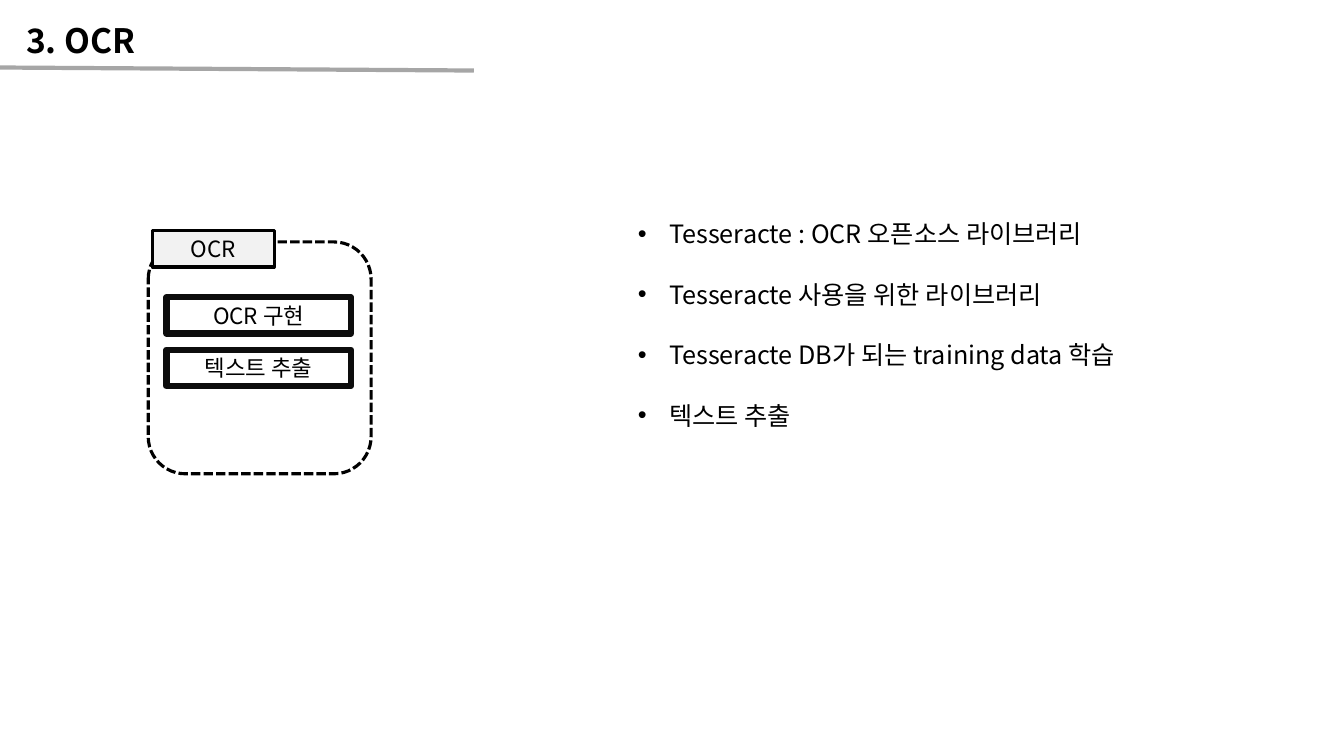
from lxml import etree
from pptx import Presentation
from pptx.dml.color import RGBColor
from pptx.enum.dml import MSO_LINE
from pptx.enum.shapes import MSO_CONNECTOR, MSO_SHAPE
from pptx.enum.text import MSO_ANCHOR, PP_ALIGN
from pptx.oxml.ns import qn
from pptx.util import Inches, Pt

SLIDE_WIDTH, SLIDE_HEIGHT = Inches(13.33), Inches(7.5)
FONT = "Noto Sans CJK KR"
COLORS = {"text": "000000", "step": "0D0D0D", "tag": "F2F2F2", "rule": "A6A6A6"}
RECTANGLE, ROUNDED = MSO_SHAPE.RECTANGLE, MSO_SHAPE.ROUNDED_RECTANGLE
STRAIGHT, DASH = MSO_CONNECTOR.STRAIGHT, MSO_LINE.SQUARE_DOT
MIDDLE, CENTER, JUSTIFY = MSO_ANCHOR.MIDDLE, PP_ALIGN.CENTER, PP_ALIGN.JUSTIFY

STEPS = ["OCR 구현", "텍스트 추출"]
STEP_TOP, STEP_PITCH = 39.33, 6.93
BULLETS = [
    "Tesseracte : OCR 오픈소스 라이브러리",
    "Tesseracte 사용을 위한 라이브러리",
    "Tesseracte DB가 되는 training data 학습",
    "텍스트 추출",
]
BULLET_INDENT = Inches(0.31)
BULLET_LINE = Pt(21.6)


def color(name):
    return RGBColor.from_string(COLORS[name])


def place(left, top, width, height):
    """Turn percentages of the slide into lengths."""
    return (
        int(SLIDE_WIDTH * left / 100),
        int(SLIDE_HEIGHT * top / 100),
        int(SLIDE_WIDTH * width / 100),
        int(SLIDE_HEIGHT * height / 100),
    )


def add_run(paragraph, text, size, bold=False):
    run = paragraph.add_run()
    run.text = text
    run.font.size = Pt(size)
    run.font.bold = bold
    run.font.name = FONT
    run.font.color.rgb = color("text")
    east_asian = etree.SubElement(run.font._element, qn("a:ea"))
    east_asian.set("typeface", FONT)


def add_box(slide, kind, area, line_color, line_width, text="", fill=None):
    shape = slide.shapes.add_shape(kind, *place(*area))
    shape.shadow.inherit = False
    if fill:
        shape.fill.solid()
        shape.fill.fore_color.rgb = color(fill)
    else:
        shape.fill.background()
    shape.line.color.rgb = color(line_color)
    shape.line.width = Pt(line_width)
    if text:
        shape.text_frame.vertical_anchor = MIDDLE
        paragraph = shape.text_frame.paragraphs[0]
        paragraph.alignment = CENTER
        add_run(paragraph, text, 16)
    return shape


def add_text_frame(slide, area):
    frame = slide.shapes.add_textbox(*place(*area)).text_frame
    frame.word_wrap = True
    return frame


def add_title(slide, text):
    paragraph = add_text_frame(slide, (1.2, 1.6, 39.9, 6.67)).paragraphs[0]
    paragraph.alignment = JUSTIFY
    paragraph.line_spacing = 1.07
    paragraph.space_after = Pt(8)
    add_run(paragraph, text, 24, bold=True)


def add_title_rule(slide):
    left, top, width, drop = place(0, 8.93, 35.25, 0.4)
    rule = slide.shapes.add_connector(STRAIGHT, left, top, left + width, top + drop)
    rule.line.color.rgb = color("rule")
    rule.line.width = Pt(3)
    etree.SubElement(rule._element.spPr, qn("a:effectLst"))


def add_bullets(slide, texts):
    frame = add_text_frame(slide, (46.73, 28.27, 37.88, 37.73))
    frame.margin_right = Inches(0.2)
    for index, text in enumerate(texts):
        paragraph = frame.add_paragraph() if index else frame.paragraphs[0]
        properties = paragraph._p.get_or_add_pPr()
        properties.set("marL", str(BULLET_INDENT))
        properties.set("indent", str(-BULLET_INDENT))
        etree.SubElement(properties, qn("a:buFont")).set("typeface", "Arial")
        etree.SubElement(properties, qn("a:buChar")).set("char", "•")
        paragraph.line_spacing = BULLET_LINE
        if index:
            paragraph.space_before = BULLET_LINE
        add_run(paragraph, text, 18)


def add_ocr_module(slide):
    for index, step in enumerate(STEPS):
        area = (12.38, STEP_TOP + index * STEP_PITCH, 13.73, 4.8)
        add_box(slide, RECTANGLE, area, "step", 4.5, step)
    frame = add_box(slide, ROUNDED, (11.03, 32, 16.58, 30.67), "text", 2.25)
    frame.line.dash_style = DASH
    add_box(slide, RECTANGLE, (11.33, 30.53, 9.08, 4.8), "text", 2.25, "OCR", "tag")


def main():
    presentation = Presentation()
    presentation.slide_width = SLIDE_WIDTH
    presentation.slide_height = SLIDE_HEIGHT
    slide = presentation.slides.add_slide(presentation.slide_layouts[6])
    add_ocr_module(slide)
    add_title(slide, "3. OCR")
    add_title_rule(slide)
    add_bullets(slide, BULLETS)
    presentation.save("out.pptx")


if __name__ == "__main__":
    main()
